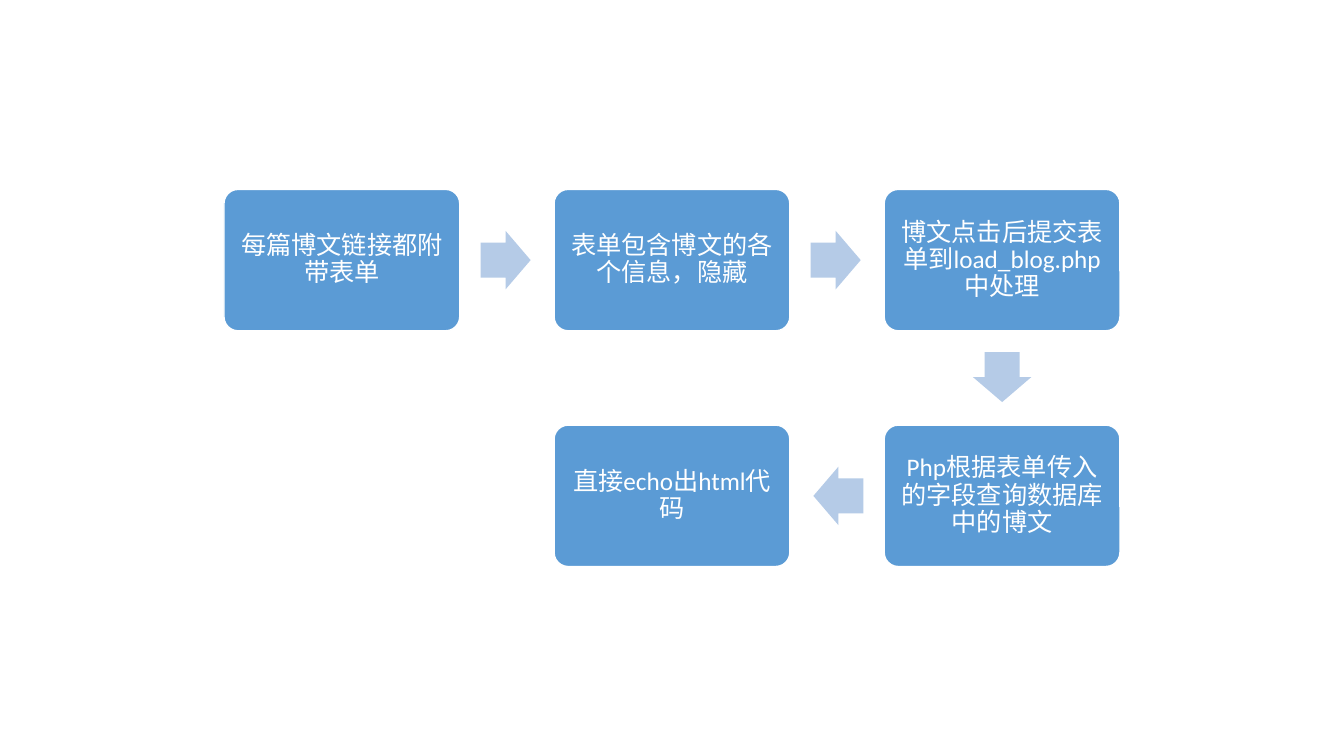
from itertools import pairwise
from math import atan2, degrees

from pptx import Presentation
from pptx.dml.color import RGBColor
from pptx.enum.shapes import MSO_SHAPE as Shape
from pptx.enum.text import MSO_ANCHOR as Anchor, PP_ALIGN as Align
from pptx.util import Inches, Pt

BLUE = RGBColor(0x5B, 0x9B, 0xD5)
PALE = RGBColor(0xB5, 0xCB, 0xE7)
WHITE = RGBColor(0xFF, 0xFF, 0xFF)

STEPS = [
    (0, 0, "每篇博文链接都附带表单"),
    (1, 0, "表单包含博文的各个信息，隐藏"),
    (2, 0, "博文点击后提交表单到load_blog.php中处理"),
    (2, 1, "Php根据表单传入的字段查询数据库中的博文"),
    (1, 1, "直接echo出html代码"),
]


def put(slide, kind, mid, size, fill, *adjust):
    """Draw a filled preset shape centred on a point."""
    left, top = (int(m - s / 2) for m, s in zip(mid, size))
    shape = slide.shapes.add_shape(kind, left, top, int(size[0]), int(size[1]))
    shape.shadow.inherit = False
    shape.fill.solid()
    shape.fill.fore_color.rgb = fill
    shape.line.fill.background()
    for i, value in enumerate(adjust):
        shape.adjustments[i] = value
    return shape


def write(shape, text, size=18, color=WHITE, font="Calibri", inset=0.07):
    """Set centred, wrapped text in a shape."""
    frame = shape.text_frame
    frame.word_wrap = True
    frame.vertical_anchor = Anchor.MIDDLE
    frame.margin_left = frame.margin_right = Inches(inset)
    frame.margin_top = frame.margin_bottom = Inches(inset)
    para = frame.paragraphs[0]
    para.alignment = Align.CENTER
    para.line_spacing = 0.9
    run = para.add_run()
    run.text = text
    run.font.size = Pt(size)
    run.font.name = font
    run.font.color.rgb = color


def flow(slide, steps, left, mid, width):
    """Lay out the steps on a grid, joined by block arrows."""
    cols = 1 + max(col for col, row, text in steps)
    rows = 1 + max(row for col, row, text in steps)
    wide = width / (1 + 1.4 * (cols - 1))
    high = 0.6 * wide
    top = mid - (high + wide * (rows - 1)) / 2
    spots = [(left + wide * (0.5 + 1.4 * col), top + high / 2 + wide * row)
             for col, row, text in steps]
    for spot, (col, row, text) in zip(spots, steps):
        card = put(slide, Shape.ROUNDED_RECTANGLE, spot, (wide, high), BLUE, 0.1)
        card.line.color.rgb = WHITE
        card.line.width = Pt(1)
        write(card, text)
    for (x, y), (to_x, to_y) in pairwise(spots):
        dx, dy = to_x - x, to_y - y
        spot = x + 0.496 * dx, y + 0.496 * dy
        size = 0.212 * wide, 0.248 * wide
        arrow = put(slide, Shape.RIGHT_ARROW, spot, size, PALE, 0.6, 0.5)
        arrow.rotation = degrees(atan2(dy, dx))


def main():
    """Build and save the slide."""
    deck = Presentation()
    deck.slide_width, deck.slide_height = Inches(13.33), Inches(7.5)
    slide = deck.slides.add_slide(deck.slide_layouts[6])
    wide, high = deck.slide_width, deck.slide_height
    flow(slide, STEPS, left=wide / 6, mid=high / 2, width=wide * 2 / 3)
    deck.save("out.pptx")


main()
